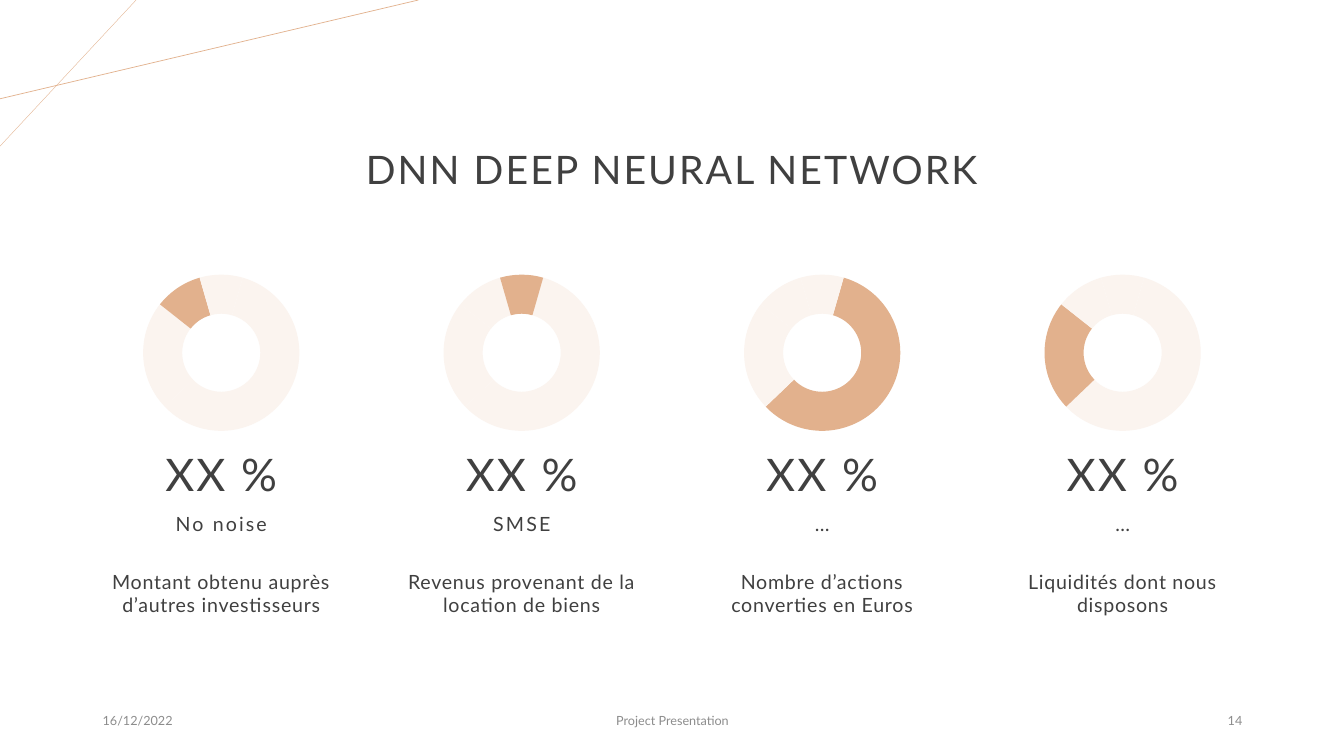
from lxml import etree
from pptx import Presentation
from pptx.chart.data import CategoryChartData
from pptx.dml.color import RGBColor
from pptx.enum.chart import XL_CHART_TYPE as ChartType
from pptx.enum.shapes import MSO_CONNECTOR as Connector
from pptx.enum.text import MSO_ANCHOR as Anchor, PP_ALIGN as Align
from pptx.oxml.ns import qn
from pptx.util import Inches, Pt

FONT = "Lato"
DARK = "404040"
GREY = "8C8C8C"
ACCENT = "E2B18D"
PALE = "FBF4EF"
SHARES = (59, 23, 10, 9)
COLUMN_LEFT = 0.92
COLUMN_STEP = 2.98
COLUMN_WIDTH = 2.55
COLUMNS = (
    ("No noise", "Montant obtenu auprès d’autres investisseurs", 2),
    ("SMSE", "Revenus provenant de la location de biens", 3),
    ("…", "Nombre d’actions converties en Euros", 0),
    ("…", "Liquidités dont nous disposons", 1),
)


def color(value):
    return RGBColor.from_string(value)


def write_text(shape, text, size, fill=DARK, align=Align.CENTER,
               anchor=Anchor.MIDDLE, line_spacing=1.0, tracking=0):
    frame = shape.text_frame
    frame.word_wrap = True
    frame.vertical_anchor = anchor
    paragraph = frame.paragraphs[0]
    paragraph.alignment = align
    paragraph.line_spacing = line_spacing
    run = paragraph.add_run()
    run.text = text
    run.font.name = FONT
    run.font.size = Pt(size)
    run.font.color.rgb = color(fill)
    if tracking:
        run.font._element.set("spc", str(int(tracking * 100)))


def add_text(slide, left, top, width, height, text, size, inset=0.1, **style):
    shape = slide.shapes.add_textbox(Inches(left), Inches(top), Inches(width), Inches(height))
    shape.text_frame.margin_left = shape.text_frame.margin_right = Inches(inset)
    write_text(shape, text, size, **style)


def add_corner_line(slide, right, bottom, weight):
    line = slide.shapes.add_connector(Connector.STRAIGHT, Inches(right), 0, 0, Inches(bottom))
    line.line.color.rgb = color(ACCENT)
    line.line.width = Pt(weight)
    etree.SubElement(line._element.spPr, qn("a:effectLst"))


def add_title(slide, left, top, width, height, text):
    title = slide.shapes.title
    title.left, title.top = Inches(left), Inches(top)
    title.width, title.height = Inches(width), Inches(height)
    write_text(title, text, 28, line_spacing=0.9, tracking=1.5)


def set_ring_layout(chart, width, height):
    plot_area = chart._chartSpace.chart.plotArea
    for old_layout in plot_area.findall(qn("c:layout")):
        plot_area.remove(old_layout)
    layout = etree.Element(qn("c:layout"))
    manual = etree.SubElement(layout, qn("c:manualLayout"))
    settings = (
        ("layoutTarget", "inner"), ("xMode", "edge"), ("yMode", "edge"),
        ("x", (1 - width) / 2), ("y", (1 - height) / 2), ("w", width), ("h", height),
    )
    for name, value in settings:
        etree.SubElement(manual, qn(f"c:{name}")).set("val", str(value))
    plot_area.insert(0, layout)
    ring = plot_area.find(qn("c:doughnutChart"))
    ring.find(qn("c:firstSliceAng")).set("val", "16")
    ring.find(qn("c:holeSize")).set("val", "80")


def add_ring(slide, left, top, width, height, highlighted):
    data = CategoryChartData()
    data.categories = [str(number + 1) for number in range(len(SHARES))]
    data.add_series("Series 1", SHARES)
    chart = slide.shapes.add_chart(
        ChartType.DOUGHNUT, Inches(left), Inches(top), Inches(width), Inches(height), data
    ).chart
    chart.has_legend = False
    chart.has_title = False
    chart.font.name = FONT
    chart.font.size = Pt(10)
    chart.font.color.rgb = color("000000")
    plot = chart.plots[0]
    plot.vary_by_categories = True
    for index in range(len(SHARES)):
        point_format = plot.series[0].points[index].format
        point_format.fill.solid()
        point_format.fill.fore_color.rgb = color(ACCENT if index == highlighted else PALE)
        point_format.line.fill.background()
    set_ring_layout(chart, 1.55 / width, 1.55 / height)


def add_column(slide, left, top, width, label, description, highlighted):
    add_ring(slide, left + 0.26, top, width - 0.52, 1.82, highlighted)
    heading = dict(inset=0, anchor=Anchor.BOTTOM, line_spacing=0.9, tracking=1.5)
    add_text(slide, left, top + 1.55, width, 0.88, "XX %", 32, **heading)
    add_text(slide, left, top + 2.29, width, 0.48, label, 14, **heading)
    add_text(slide, left, top + 3.01, width, 0.93, description, 14,
             inset=0, anchor=Anchor.TOP, tracking=0.5)


def add_footer(slide, left, top, height):
    items = (
        (0, 3, "16/12/2022", Align.LEFT),
        (3.5, 4.5, "Project Presentation", Align.CENTER),
        (8.5, 3, "14", Align.RIGHT),
    )
    for offset, width, text, align in items:
        add_text(slide, left + offset, top, width, height, text, 9, fill=GREY, align=align)


def main():
    presentation = Presentation()
    presentation.slide_width = Inches(13.33)
    presentation.slide_height = Inches(7.5)
    slide = presentation.slides.add_slide(presentation.slide_layouts[5])
    add_corner_line(slide, 1.35, 1.45, 0.25)
    add_corner_line(slide, 4.15, 0.98, 0.5)
    add_title(slide, 2.06, 0.98, 9.21, 1.45, "DNN DEEP NEURAL NETWORK")
    for index, column in enumerate(COLUMNS):
        add_column(slide, COLUMN_LEFT + index * COLUMN_STEP, 2.59, COLUMN_WIDTH, *column)
    add_footer(slide, COLUMN_LEFT, 6.95, 0.4)
    presentation.save("out.pptx")


if __name__ == "__main__":
    main()
